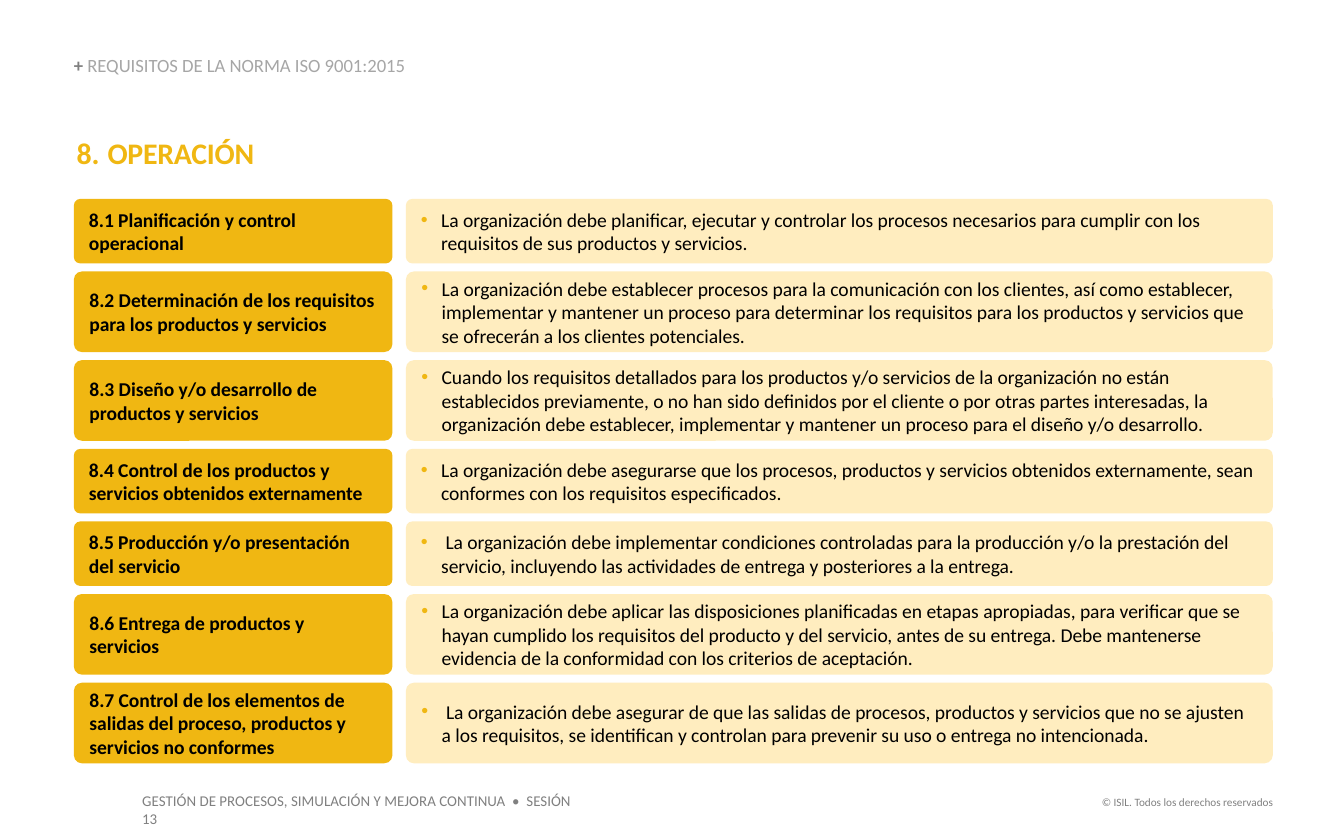
from lxml import etree
from pptx import Presentation
from pptx.dml.color import RGBColor
from pptx.enum.shapes import MSO_SHAPE
from pptx.enum.text import MSO_ANCHOR, MSO_AUTO_SIZE, PP_ALIGN
from pptx.oxml.ns import qn
from pptx.util import Inches, Pt

ROUNDED = MSO_SHAPE.ROUNDED_RECTANGLE
TOP, MIDDLE = MSO_ANCHOR.TOP, MSO_ANCHOR.MIDDLE
LEFT, RIGHT = PP_ALIGN.LEFT, PP_ALIGN.RIGHT
NO_FIT = MSO_AUTO_SIZE.NONE

COLORS = {
    "gold": "F0B712",
    "cream": "FFEDBF",
    "black": "000000",
    "gray": "808080",
    "light_gray": "A6A6A6",
}
FLUSH = {"margin_left": 0, "margin_top": 0, "margin_right": 0, "margin_bottom": 0}

LEFT_EDGE = 0.55
HEADING_WIDTH, DETAIL_LEFT, DETAIL_WIDTH = 2.37, 3.02, 6.45
ROWS_TOP, ROW_GAP = 1.48, 0.06
SHORT, TALL = 0.48, 0.6

CLAUSES = [
    (SHORT, "8.1 Planificación y control operacional",
     "La organización debe planificar, ejecutar y controlar los procesos necesarios para cumplir "
     "con los requisitos de sus productos y servicios."),
    (TALL, "8.2 Determinación de los requisitos para los productos y servicios",
     "La organización debe establecer procesos para la comunicación con los clientes, así como "
     "establecer, implementar y mantener un proceso para determinar los requisitos para los "
     "productos y servicios que se ofrecerán a los clientes potenciales."),
    (TALL, "8.3 Diseño y/o desarrollo de productos y servicios",
     "Cuando los requisitos detallados para los productos y/o servicios de la organización no "
     "están establecidos previamente, o no han sido definidos por el cliente o por otras partes "
     "interesadas, la organización debe establecer, implementar y mantener un proceso para el "
     "diseño y/o desarrollo."),
    (SHORT, "8.4 Control de los productos y servicios obtenidos externamente",
     "La organización debe asegurarse que los procesos, productos y servicios obtenidos "
     "externamente, sean conformes con los requisitos especificados."),
    (SHORT, "8.5 Producción y/o presentación del servicio",
     " La organización debe implementar condiciones controladas para la producción y/o la "
     "prestación del servicio, incluyendo las actividades de entrega y posteriores a la entrega."),
    (TALL, "8.6 Entrega de productos y servicios",
     "La organización debe aplicar las disposiciones planificadas en etapas apropiadas, para "
     "verificar que se hayan cumplido los requisitos del producto y del servicio, antes de su "
     "entrega. Debe mantenerse evidencia de la conformidad con los criterios de aceptación."),
    (TALL, "8.7 Control de los elementos de salidas del proceso, productos y servicios no conformes",
     " La organización debe asegurar de que las salidas de procesos, productos y servicios que no "
     "se ajusten a los requisitos, se identifican y controlan para prevenir su uso o entrega no "
     "intencionada."),
]


def write(shape, runs, size, align=LEFT, **frame_format):
    frame = shape.text_frame
    settings = {"word_wrap": True, "auto_size": NO_FIT, "vertical_anchor": TOP, **frame_format}
    for attribute, value in settings.items():
        setattr(frame, attribute, value)
    paragraph = frame.paragraphs[0]
    paragraph.alignment = align
    for text, color, bold in runs:
        run = paragraph.add_run()
        run.text = text
        for attribute, value in {"name": "Calibri", "size": Pt(size), "bold": bold}.items():
            setattr(run.font, attribute, value)
        run.font.color.rgb = RGBColor.from_string(COLORS[color])
    return paragraph


def set_marker(paragraph, margin, indent, markers):
    properties = paragraph._p.get_or_add_pPr()
    properties.set("marL", str(Inches(margin)))
    properties.set("indent", str(Inches(indent)))
    for tag, attributes in markers:
        etree.SubElement(properties, qn(tag), attributes)
    return properties


prs = Presentation()
prs.slide_width, prs.slide_height = Inches(10), Inches(6.25)
slide = prs.slides.add_slide(prs.slide_layouts[5])

title = slide.shapes.title
title.left, title.top, title.width, title.height = map(Inches, (0.56, 1, 8.93, 0.27))
heading = write(title, [("OPERACIÓN", "gold", True)], 16, **FLUSH)
heading.runs[0].font._element.set("spc", "-10")
numbering = set_marker(heading, 0.24, -0.23, [
    ("a:buFont", {"typeface": "+mj-lt"}),
    ("a:buAutoNum", {"type": "arabicPeriod", "startAt": "8"}),
])
tabs = etree.SubElement(numbering, qn("a:tabLst"))
etree.SubElement(tabs, qn("a:tab"), {"pos": str(Inches(0.13)), "algn": "l"})

captions = [
    ((LEFT_EDGE, 0.41, 4.65, 0.15), 10, LEFT, {**FLUSH, "vertical_anchor": MIDDLE},
     [("+ ", "gray", True), ("REQUISITOS DE LA NORMA ISO 9001:2015", "light_gray", False)]),
    ((0.96, 5.84, 3.53, 0.24), 8, LEFT, {},
     [("GESTIÓN DE PROCESOS, SIMULACIÓN Y MEJORA CONTINUA  •  SESIÓN 13", "gray", False)]),
    ((8.07, 5.87, 1.5, 0.2), 6, RIGHT, {},
     [("© ISIL. Todos los derechos reservados", "gray", False)]),
]
for box, size, align, frame_format, runs in captions:
    caption = slide.shapes.add_textbox(*map(Inches, box))
    write(caption, runs, size, align, **frame_format)

row_top = ROWS_TOP
for row_height, clause, requirement in CLAUSES:
    for left, width, fill, text, is_heading in (
        (LEFT_EDGE, HEADING_WIDTH, "gold", clause, True),
        (DETAIL_LEFT, DETAIL_WIDTH, "cream", requirement, False),
    ):
        panel = slide.shapes.add_shape(
            ROUNDED, Inches(left), Inches(row_top), Inches(width), Inches(row_height))
        panel.adjustments[0] = 0.1
        panel.shadow.inherit = False
        panel.fill.solid()
        panel.fill.fore_color.rgb = RGBColor.from_string(COLORS[fill])
        panel.line.fill.background()
        content = write(panel, [(text, "black", is_heading)], 10.5, vertical_anchor=MIDDLE)
        if not is_heading:
            bullet = set_marker(content, 0.15, -0.15, [
                ("a:buClr", {}),
                ("a:buFont", {"typeface": "Arial"}),
                ("a:buChar", {"char": "•"}),
            ])
            etree.SubElement(bullet.find(qn("a:buClr")), qn("a:srgbClr"), {"val": COLORS["gold"]})
    row_top += row_height + ROW_GAP

prs.save("out.pptx")
